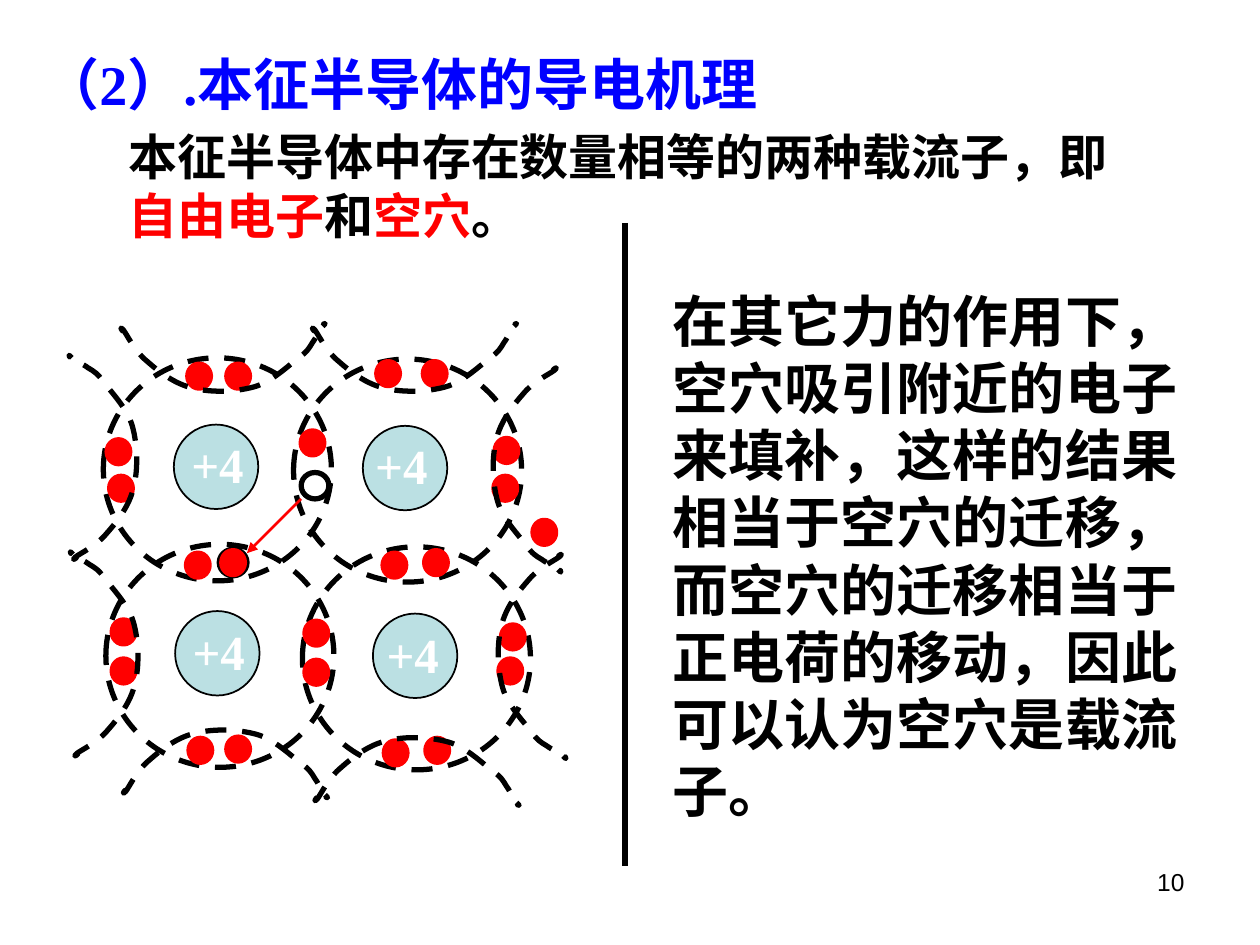
from lxml.etree import SubElement
from pptx import Presentation
from pptx.dml.color import RGBColor
from pptx.enum.dml import MSO_LINE
from pptx.enum.shapes import MSO_CONNECTOR, MSO_SHAPE
from pptx.enum.text import MSO_ANCHOR, MSO_AUTO_SIZE, PP_ALIGN
from pptx.oxml.ns import qn
from pptx.util import Pt

SCALE = 9144
BLACK, RED, BLUE, WHITE, PALE = "000000", "FF0000", "0000FF", "FFFFFF", "BBE0E3"

ATOMS = [(138, 337), (288, 338), (139, 485), (296, 487)]
RINGS = [(82, 284), (233, 285), (84, 432), (240, 434)]
LABELS = [(142, 340), (288, 341), (143, 488), (297, 491)]
DOTS = [
    (149, 289), (180, 289), (299, 287), (336, 287),
    (85, 349), (87, 378), (239, 342), (393, 348), (392, 378),
    (148, 439), (304, 439), (337, 437),
    (89, 492), (89, 523), (242, 493), (242, 524), (398, 496), (396, 523),
    (150, 586), (180, 585), (305, 588), (338, 586),
]
CURVE = [
    (21, -78),
    (21, -79), (26, -82), (22, -78),
    (18, -75), (5, -69), (-3, -59),
    (-11, -50), (-21, -37), (-24, -23),
    (-28, -8), (-27, 12), (-23, 26),
    (-19, 40), (-6, 53), (-1, 60),
    (5, 68), (7, 69), (12, 72),
    (16, 75), (23, 78), (25, 80),
    (28, 81), (27, 82), (27, 82),
    (27, 82), (25, 80), (25, 80),
]
BONDS = [
    (lambda x, y: (x, y), [(418, 372), (422, 520)]),
    (lambda x, y: (y, -x), [(176, 284), (328, 284)]),
    (lambda x, y: (y, x), [(178, 606), (330, 612)]),
    (lambda x, y: (-x, -y), [(82, 364), (83, 520)]),
]


def px(num):
    """Turn px into EMU."""
    return round(num * SCALE)


def paint(part, color):
    """Give a fill or font colour a hex value."""
    if hasattr(part, "solid"):
        part.solid()
        part = part.fore_color
    part.rgb = RGBColor.from_string(color)


def write(frame, *runs, size=28, color=BLACK, font="Times New Roman", bold=True,
          align=PP_ALIGN.LEFT, anchor=MSO_ANCHOR.TOP, side=10):
    """Fill a text frame with runs, each a string or a (string, colour) pair."""
    frame.word_wrap = True
    frame.auto_size = MSO_AUTO_SIZE.NONE
    frame.vertical_anchor = anchor
    frame.margin_left = frame.margin_right = px(side)
    para = frame.paragraphs[0]
    props = para._p.get_or_add_pPr()
    props.set("marL", "0")
    props.set("indent", "0")
    SubElement(props, qn("a:buNone"))
    para.alignment = align
    para.space_before = Pt(0)
    for item in runs:
        words, tint = (item, color) if isinstance(item, str) else item
        run = para.add_run()
        run.text = words
        run.font.size, run.font.name, run.font.bold = Pt(size), font, bold
        paint(run.font.color, tint)


def place(shape, *box):
    """Move a placeholder to a box and return its text frame."""
    shape.left, shape.top, shape.width, shape.height = map(px, box)
    return shape.text_frame


def note(shapes, box, words, **form):
    """Add a text box."""
    write(shapes.add_textbox(*map(px, box)).text_frame, words, **form)


def edge(shape, color, width, dash=False):
    """Set the outline of a shape."""
    paint(shape.line.fill, color)
    shape.line.width = Pt(width)
    if dash:
        shape.line.dash_style = MSO_LINE.DASH


def oval(shapes, box, fill=None, color=BLACK, width=3):
    """Add an ellipse, dashed when it has no fill."""
    shape = shapes.add_shape(MSO_SHAPE.OVAL, *map(px, box))
    shape.shadow.inherit = False
    if fill:
        paint(shape.fill, fill)
    else:
        shape.fill.background()
    edge(shape, color, width, dash=not fill)


def dot(shapes, left, top):
    """Add an electron."""
    oval(shapes, (left, top, 18, 19), RED, RED)


def hole(shapes, left, top):
    """Add a hole."""
    oval(shapes, (left, top, 22, 21), WHITE)


def bend(shape):
    """Turn each three line segments of a freeform into one cubic curve."""
    legs = list(shape._element.iter(qn("a:lnTo")))
    for one, two, end in zip(legs[::3], legs[1::3], legs[2::3]):
        curve = one.makeelement(qn("a:cubicBezTo"))
        one.addprevious(curve)
        for leg in (one, two, end):
            curve.append(leg[0])
            leg.getparent().remove(leg)


def bond(shapes, turn, mid):
    """Add a dashed open curve, turned about its middle."""
    points = []
    for point in CURVE:
        x, y = turn(*point)
        points.append((mid[0] + x, mid[1] + y))
    build = shapes.build_freeform(*points[0], scale=SCALE)
    build.add_line_segments(points[1:], close=False)
    shape = build.convert_to_shape()
    bend(shape)
    shape.shadow.inherit = False
    shape.fill.background()
    edge(shape, BLACK, 3, dash=True)


def line(shapes, start, end, color, width, head=False):
    """Add a straight line, with an arrowhead at its end if asked."""
    shape = shapes.add_connector(
        MSO_CONNECTOR.STRAIGHT, *map(px, start + end))
    edge(shape, color, width)
    if head:
        SubElement(shape.line._get_or_add_ln(), qn("a:tailEnd"), type="triangle")
    SubElement(shape._element.spPr, qn("a:effectLst"))


def lattice(shapes):
    """Draw the crystal lattice with its electrons."""
    for spot in ATOMS:
        oval(shapes, (*spot, 67, 67), PALE, width=1)
    for spot in RINGS:
        oval(shapes, (*spot, 181, 177))
    for spot in DOTS:
        dot(shapes, *spot)
    for turn, mids in BONDS:
        for mid in mids:
            bond(shapes, turn, mid)
    for spot in LABELS:
        note(shapes, (*spot, 77, 57), "+4", color=WHITE)
    dot(shapes, 423, 413)
    hole(shapes, 174, 436)


def shift(shapes):
    """Draw the electron that fills a hole and the hole it leaves."""
    dot(shapes, 176, 437)
    hole(shapes, 239, 375)
    line(shapes, (239, 396), (196, 439), RED, 1.5, head=True)


def main():
    """Build and save the slide."""
    deck = Presentation()
    deck.slide_width, deck.slide_height = px(1000), px(750)
    slide = deck.slides.add_slide(deck.slide_layouts[3])
    shapes = slide.shapes
    title, intro, body = slide.placeholders
    mid = MSO_ANCHOR.MIDDLE
    write(place(title, 3, 34, 630, 64), "（2）.本征半导体的导电机理", size=32,
          color=BLUE, align=PP_ALIGN.CENTER, anchor=mid, side=0)
    write(place(intro, 92, 95, 831, 104),
          "本征半导体中存在数量相等的两种载流子，即", ("自由电子", RED), "和",
          ("空穴", RED), "。", anchor=mid)
    write(place(body, 524, 222, 423, 437),
          "在其它力的作用下，空穴吸引附近的电子来填补，这样的结果相当于空穴的迁移，"
          "而空穴的迁移相当于正电荷的移动，因此可以认为空穴是载流子。",
          size=32, anchor=mid)
    lattice(shapes.add_group_shape().shapes)
    line(shapes, (496, 177), (496, 687), BLACK, 3)
    shift(shapes.add_group_shape().shapes)
    note(shapes, (717, 683, 233, 52), "10", size=14, font="Arial", bold=False,
         align=PP_ALIGN.RIGHT)
    deck.save("out.pptx")


if __name__ == "__main__":
    main()
